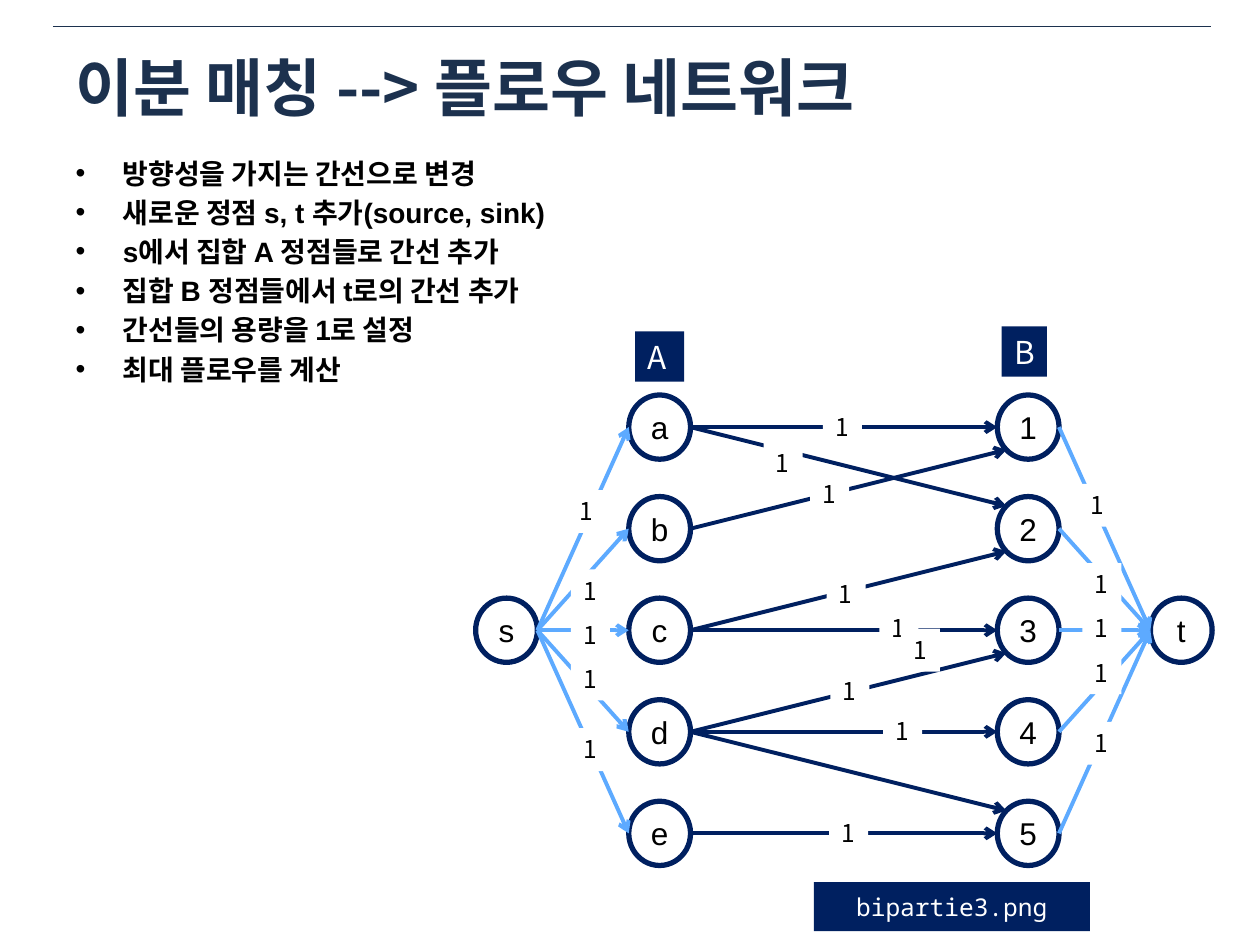
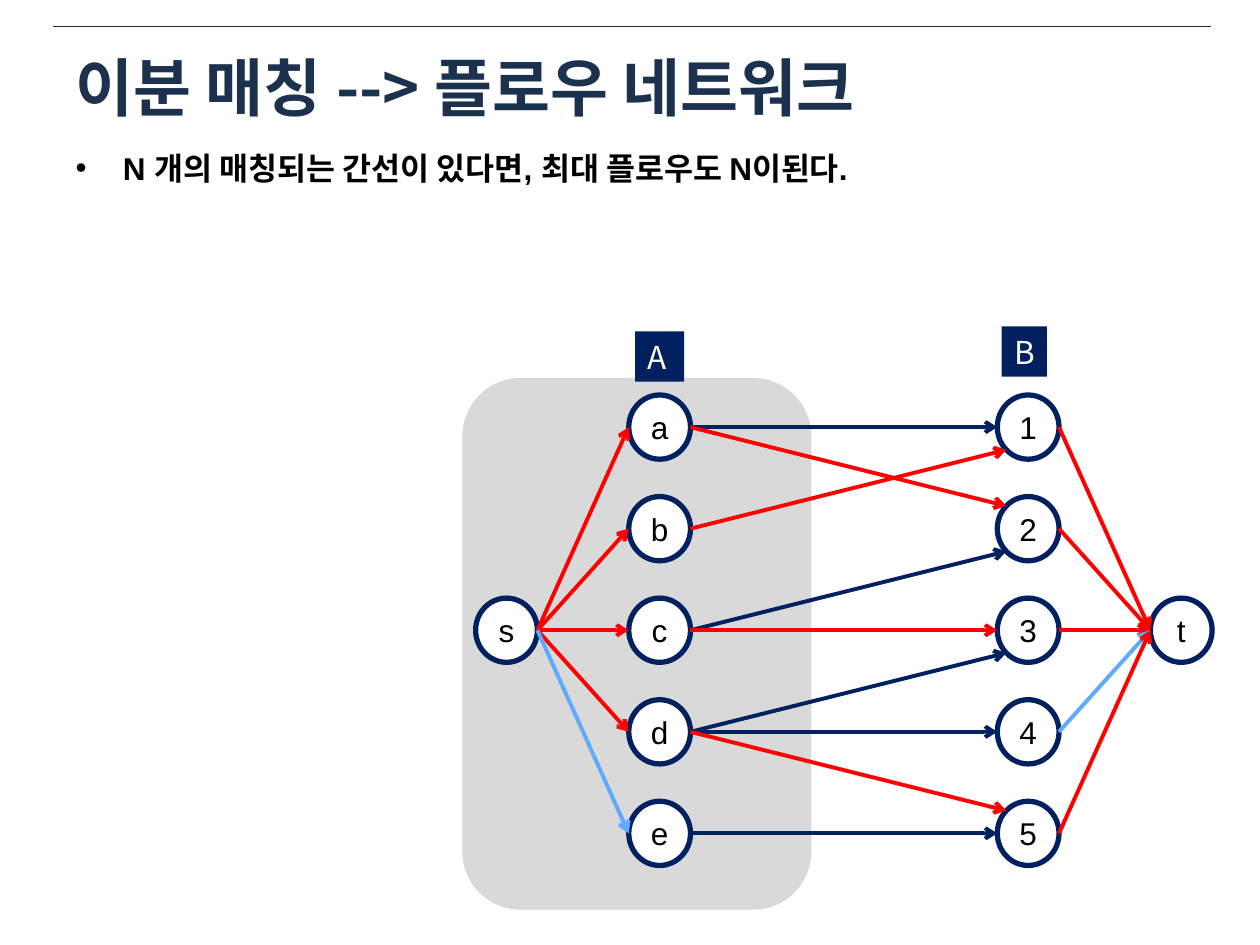
from dataclasses import dataclass
from math import sqrt

from lxml.etree import SubElement
from pptx import Presentation
from pptx.dml.color import RGBColor
from pptx.enum.shapes import MSO_CONNECTOR, MSO_SHAPE
from pptx.enum.text import MSO_ANCHOR, MSO_AUTO_SIZE, PP_ALIGN
from pptx.oxml.ns import qn
from pptx.util import Inches, Pt

COLORS = {
    "title": "1C314E", "navy": "002060", "sky": "5DAAFF", "match": "FF0000",
    "region": "D9D9D9", "white": "FFFFFF", "black": "000000",
}
KOREAN = "Noto Sans CJK KR"
LATIN = "Arial"
MONO = "Noto Sans Mono"
TITLE = "이분 매칭 --> 플로우 네트워크"

# Size of a graph vertex
NODE_WIDTH, NODE_HEIGHT = 0.49, 0.51


@dataclass(frozen=True)
class Node:
    name: str
    x: float
    y: float
    row: int

    def right_side(self) -> tuple[float, float]:
        return self.x + NODE_WIDTH / 2, self.y

    def left_side(self) -> tuple[float, float]:
        return self.x - NODE_WIDTH / 2, self.y

    def entry_from(self, row: int) -> tuple[float, float]:
        """Left side for a level edge, else the nearer left diagonal."""
        if row == self.row:
            return self.left_side()
        side = -1 if row < self.row else 1
        return (self.x - NODE_WIDTH / sqrt(8),
                self.y + side * NODE_HEIGHT / sqrt(8))


@dataclass(frozen=True)
class Label:
    text: str
    left: float
    top: float
    width: float
    height: float
    size: float = 14
    font: str = KOREAN
    fill: str = "white"
    color: str = "black"


# Graph: five rows in each set, source and sink level with the middle row
def column(names: str, x: float) -> dict[str, Node]:
    return {name: Node(name, x, 3.39 + 0.806 * row, row)
            for row, name in enumerate(names)}


SET_A = column("abcde", 5.235)
SET_B = column("12345", 8.16)
SOURCE = Node("s", 4.02, SET_A["c"].y, 2)
SINK = Node("t", 9.375, SET_B["3"].y, 2)
EDGES = ["a1", "a2", "b1", "c2", "c3", "d3", "d4", "d5", "e5"]
MATCHING = ["a2", "b1", "c3", "d5"]

SET_LABELS = [
    Label("A", 5.04, 2.63, 0.39, 0.4, 18, fill="navy", color="white"),
    Label("B", 7.95, 2.59, 0.36, 0.4, 18, fill="navy", color="white"),
]
SOURCE_CAPACITIES = [(4.5, 3.89), (4.53, 4.52), (4.53, 4.87), (4.53, 5.22), (4.53, 5.78)]
SINK_CAPACITIES = [(left + 4.06, top - 0.05) for left, top in SOURCE_CAPACITIES]
MIDDLE_CAPACITIES = [(6.53, 3.22), (6.56, 4.55), (6.06, 3.51), (6.43, 3.75), (6.98, 4.82),
                     (6.59, 5.32), (7.01, 5.63), (6.58, 6.44), (7.15, 4.99)]


def rgb(name: str) -> RGBColor:
    return RGBColor.from_string(COLORS[name])


def write(para, text: str, *, size: float, font: str, color: str = "black",
          bold: bool = False, align=PP_ALIGN.LEFT) -> None:
    para.alignment = align
    span = para.add_run()
    span.text = text
    span.font.size = Pt(size)
    span.font.name = font
    span.font.bold = bold
    span.font.color.rgb = rgb(color)
    SubElement(span.font._element, qn("a:ea"), typeface=KOREAN)


def place(shape, left: float, top: float, width: float, height: float) -> None:
    shape.left, shape.top = Inches(left), Inches(top)
    shape.width, shape.height = Inches(width), Inches(height)


def add_shape(slide, kind, left: float, top: float, width: float, height: float, fill: str):
    shape = slide.shapes.add_shape(
        kind, Inches(left), Inches(top), Inches(width), Inches(height))
    shape.shadow.inherit = False
    shape.fill.solid()
    shape.fill.fore_color.rgb = rgb(fill)
    shape.line.fill.background()
    return shape


def add_line(slide, start: tuple[float, float], end: tuple[float, float], color: str,
             width: float = 2.25, arrow: bool = True):
    line = slide.shapes.add_connector(
        MSO_CONNECTOR.STRAIGHT, *(Inches(value) for value in (*start, *end)))
    line.line.color.rgb = rgb(color)
    line.line.width = Pt(width)
    if arrow:
        SubElement(line.line._get_or_add_ln(), qn("a:tailEnd"), type="arrow")
    SubElement(line.element.spPr, qn("a:effectLst"))
    return line


def add_node(slide, node: Node) -> None:
    circle = add_shape(slide, MSO_SHAPE.OVAL, node.x - NODE_WIDTH / 2,
                       node.y - NODE_HEIGHT / 2, NODE_WIDTH, NODE_HEIGHT, "white")
    circle.line.color.rgb = rgb("navy")
    circle.line.width = Pt(3)
    frame = circle.text_frame
    frame.vertical_anchor = MSO_ANCHOR.MIDDLE
    write(frame.paragraphs[0], node.name, size=18, font=LATIN, align=PP_ALIGN.CENTER)


def add_label(slide, label: Label) -> None:
    box = slide.shapes.add_textbox(Inches(label.left), Inches(label.top),
                                   Inches(label.width), Inches(label.height))
    box.fill.solid()
    box.fill.fore_color.rgb = rgb(label.fill)
    frame = box.text_frame
    frame.word_wrap = False
    frame.auto_size = MSO_AUTO_SIZE.SHAPE_TO_FIT_TEXT
    write(frame.paragraphs[0], label.text, size=label.size, font=label.font, color=label.color)


def add_caption(slide, text: str) -> None:
    box = add_shape(slide, MSO_SHAPE.RECTANGLE, 6.46, 7, 2.19, 0.39, "navy")
    frame = box.text_frame
    frame.word_wrap = True
    frame.margin_left = frame.margin_right = 0
    frame.margin_top = frame.margin_bottom = Inches(0.08)
    write(frame.paragraphs[0], text, size=14, font=MONO, color="white", align=PP_ALIGN.CENTER)


def add_page(deck, items: list[str], size: float, body: tuple[float, float, float, float]):
    page = deck.slides.add_slide(deck.slide_layouts[1])
    title = page.shapes.title
    place(title, 0.5, 0.35, 9, 0.67)
    title.text_frame.auto_size = MSO_AUTO_SIZE.NONE
    title.text_frame.vertical_anchor = MSO_ANCHOR.MIDDLE
    write(title.text_frame.paragraphs[0], TITLE, size=36, font=KOREAN,
          color="title", bold=True)

    bullets = page.placeholders[1]
    place(bullets, *body)
    frame = bullets.text_frame
    frame.auto_size = MSO_AUTO_SIZE.NONE
    for index, item in enumerate(items):
        para = frame.add_paragraph() if index else frame.paragraphs[0]
        write(para, item, size=size, font=LATIN, bold=True)
    return page


def add_network(slide, matching: list[str]) -> None:
    matched = set("".join(matching))
    for node in (*SET_A.values(), *SET_B.values(), SOURCE, SINK):
        add_node(slide, node)
    for edge in EDGES:
        start, end = SET_A[edge[0]], SET_B[edge[1]]
        add_line(slide, start.right_side(), end.entry_from(start.row),
                 "match" if edge in matching else "navy")
    for label in SET_LABELS:
        add_label(slide, label)
    for node in SET_A.values():
        add_line(slide, SOURCE.right_side(), node.left_side(),
                 "match" if node.name in matched else "sky")
    for node in SET_B.values():
        add_line(slide, node.right_side(), SINK.left_side(),
                 "match" if node.name in matched else "sky")


def main() -> None:
    deck = Presentation()
    deck.slide_width, deck.slide_height = Inches(10), Inches(7.5)

    # Slide 1: network with unit capacities
    capacity_page = add_page(deck, [
        "방향성을 가지는 간선으로 변경",
        "새로운 정점 s, t 추가(source, sink)",
        "s에서 집합 A 정점들로 간선 추가",
        "집합 B 정점들에서 t로의 간선 추가",
        "간선들의 용량을 1로 설정",
        "최대 플로우를 계산",
    ], 16, (0.5, 1.19, 4.54, 2.22))
    add_network(capacity_page, [])
    for left, top in SOURCE_CAPACITIES + SINK_CAPACITIES + MIDDLE_CAPACITIES:
        add_label(capacity_page, Label("1", left, top, 0.31, 0.34))
    add_caption(capacity_page, "bipartie3.png")

    # Slide 2: maximum flow along the matching
    flow_page = add_page(deck, [
        "N 개의 매칭되는 간선이 있다면, 최대 플로우도 N이된다.",
    ], 18, (0.5, 1.13, 7.34, 1.09))
    add_shape(flow_page, MSO_SHAPE.ROUNDED_RECTANGLE, 3.67, 3, 2.77, 4.22, "region")
    add_network(flow_page, MATCHING)

    # Top rule, moved to the shared layout
    rule = add_line(flow_page, (0.42, 0.21), (9.61, 0.21), "title", 0.25, arrow=False)
    deck.slide_layouts[1].shapes.element.append(rule.element)

    deck.save("out.pptx")


if __name__ == "__main__":
    main()
